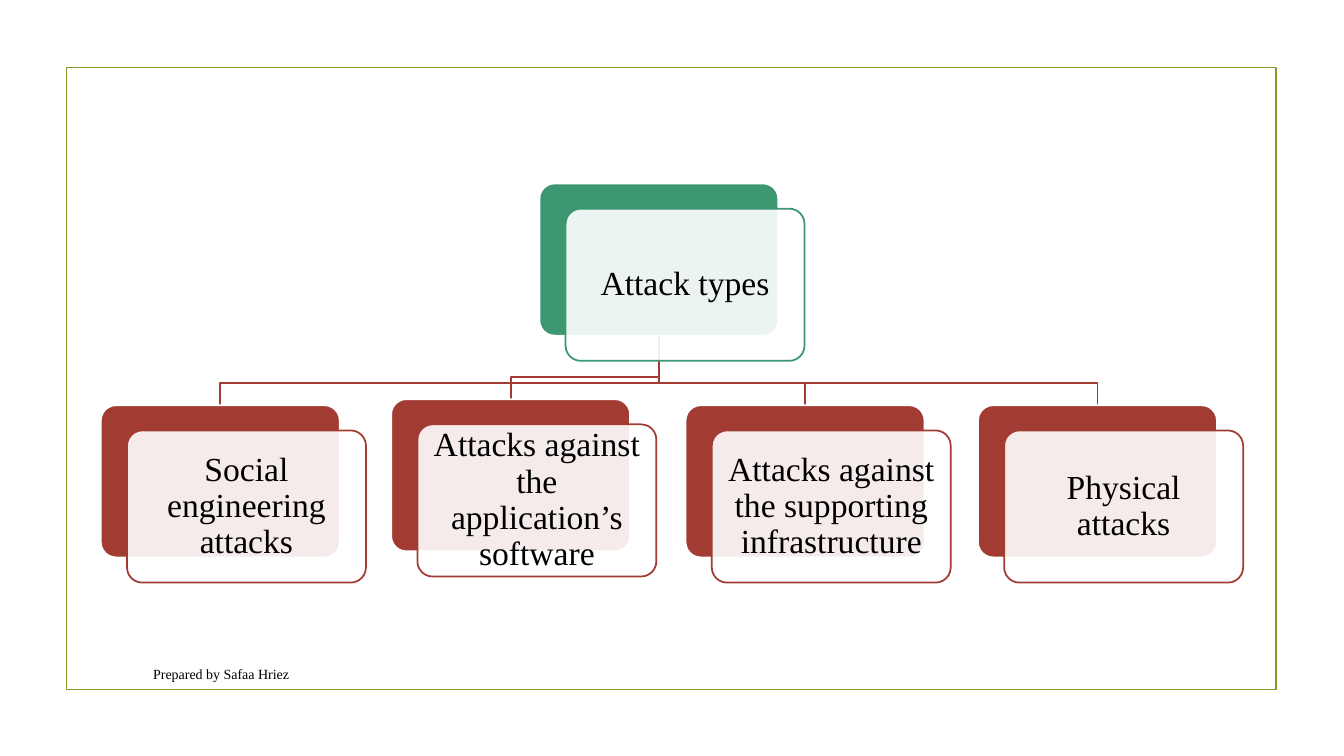
import pptx
import pptx.dml.color
import pptx.enum.shapes
import pptx.enum.text
import pptx.oxml
import pptx.oxml.ns
import pptx.util

Inches = pptx.util.Inches
Pt = pptx.util.Pt
SHAPES = pptx.enum.shapes.MSO_SHAPE

GREEN, RED, OLIVE, WHITE = "3C9770", "A23C33", "83992A", "FFFFFF"
CARD_WIDTH, CARD_HEIGHT = 2.37, 1.51
CARD_OFFSET_X, CARD_OFFSET_Y = 0.26, 0.25
ROOT_LEFT, ROOT_TOP = 5.35, 1.82
ELBOW_RISE = 0.22


def paint(shape, line, fill=None):
    """Set outline and fill from hex strings; without a fill the shape is hollow."""
    shape.shadow.inherit = False
    shape.line.color.rgb = pptx.dml.color.RGBColor.from_string(line)
    shape.line.width = Pt(1.25)
    if fill:
        shape.fill.solid()
        shape.fill.fore_color.rgb = pptx.dml.color.RGBColor.from_string(fill)
    else:
        shape.fill.background()


def write(shape, text, size):
    frame = shape.text_frame
    frame.word_wrap = True
    frame.vertical_anchor = pptx.enum.text.MSO_ANCHOR.MIDDLE
    paragraph = frame.paragraphs[0]
    run = paragraph.add_run()
    run.text = text
    for attribute, value in {"name": "Times New Roman", "size": Pt(size)}.items():
        setattr(run.font, attribute, value)
    run.font.color.rgb = pptx.dml.color.RGBColor.from_string("000000")
    return paragraph


deck = pptx.Presentation()
deck.slide_width, deck.slide_height = Inches(13.33), Inches(7.5)
slide = deck.slides.add_slide(deck.slide_layouts[6])

border = slide.shapes.add_shape(
    SHAPES.RECTANGLE, Inches(0.66), Inches(0.67), Inches(12), Inches(6.17))
paint(border, OLIVE)

# Label, left, top of each attack type
attacks = [
    ("Social engineering attacks", 1.0, 4.02),
    ("Attacks against the application’s software", 3.88, 3.96),
    ("Attacks against the supporting infrastructure", 6.8, 4.02),
    ("Physical attacks", 9.7, 4.02),
]

# Elbow lines from the root to each attack type
root_x = ROOT_LEFT + CARD_WIDTH / 2
root_bottom = ROOT_TOP + CARD_HEIGHT
for label, left, top in reversed(attacks):
    attack_x = left + CARD_WIDTH / 2
    elbow_y = top - ELBOW_RISE
    branch = slide.shapes.build_freeform(Inches(root_x), Inches(root_bottom))
    corners = [(root_x, elbow_y), (attack_x, elbow_y), (attack_x, top)]
    branch.add_line_segments(
        [(Inches(x), Inches(y)) for x, y in corners], close=False)
    paint(branch.convert_to_shape(), RED)

# Each node is a solid card with a translucent labelled card in front
nodes = [("Attack types", ROOT_LEFT, ROOT_TOP, GREEN)]
nodes += [(*attack, RED) for attack in attacks]
for label, left, top, color in nodes:
    for shift, line, fill in ((0, WHITE, color), (1, color, WHITE)):
        card = slide.shapes.add_shape(
            SHAPES.ROUNDED_RECTANGLE,
            Inches(left + shift * CARD_OFFSET_X),
            Inches(top + shift * CARD_OFFSET_Y),
            Inches(CARD_WIDTH), Inches(CARD_HEIGHT))
        card.adjustments[0] = 0.1
        paint(card, line, fill)

    # The last card drawn is the front one
    front_color = card.fill._xPr.find(".//" + pptx.oxml.ns.qn("a:srgbClr"))
    front_color.append(pptx.oxml.parse_xml(
        f'<a:alpha {pptx.oxml.ns.nsdecls("a")} val="90000"/>'))
    for side in ("left", "right", "top", "bottom"):
        setattr(card.text_frame, f"margin_{side}", Inches(0.1))
    paragraph = write(card, label, 24)
    paragraph.alignment = pptx.enum.text.PP_ALIGN.CENTER
    paragraph.line_spacing = 0.9

credit = slide.shapes.add_textbox(
    Inches(1.42), Inches(6.53), Inches(7.99), Inches(0.31))
write(credit, "Prepared by Safaa Hriez", 10)

deck.save("out.pptx")
